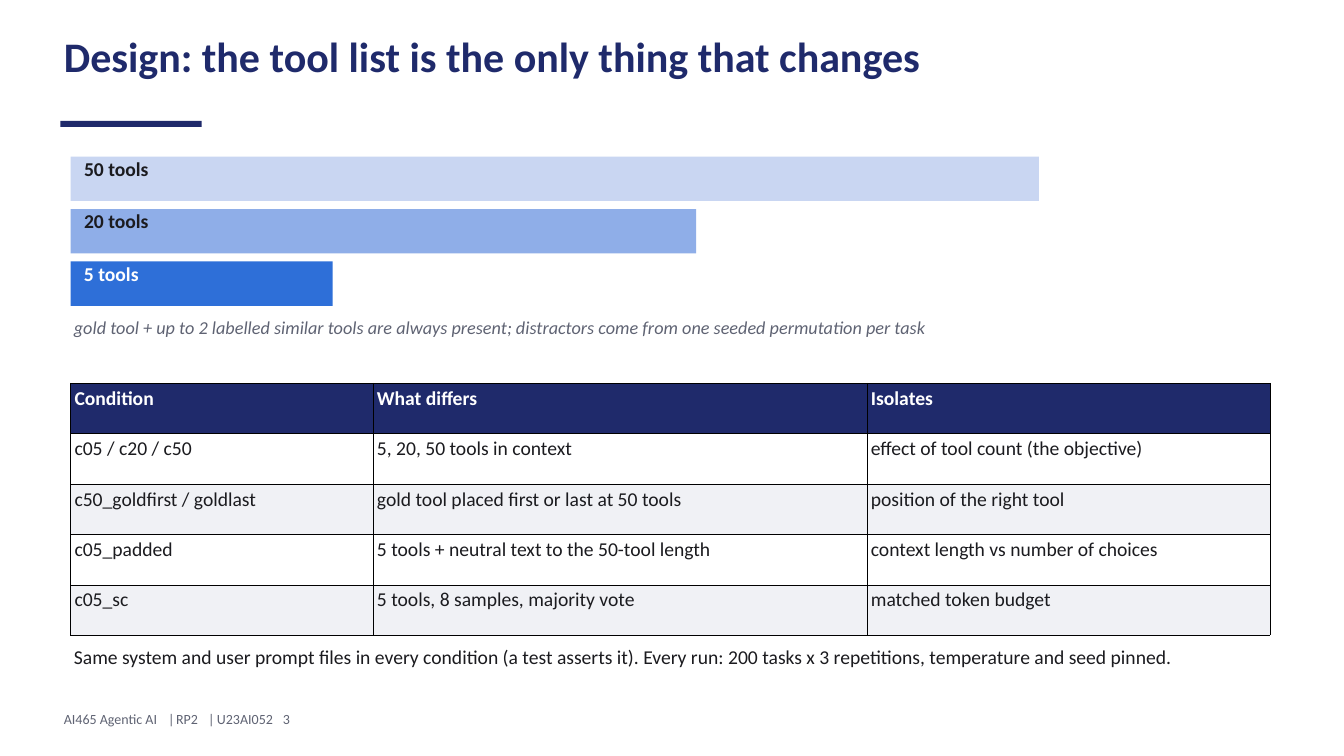
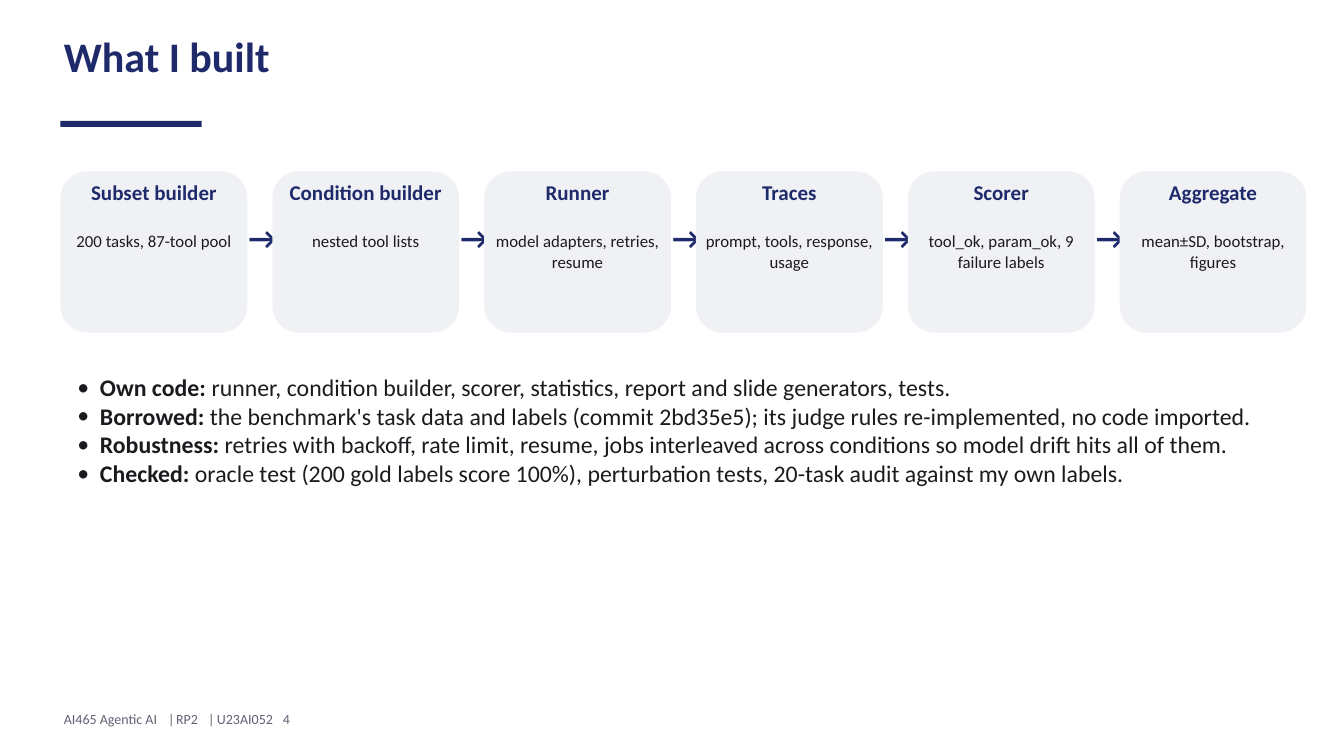
import pptx
import pptx.util
import pptx.dml.color
import pptx.enum.shapes
import pptx.enum.text
import pptx.oxml.ns
from lxml import etree

Pt = pptx.util.Pt
SHAPE = pptx.enum.shapes.MSO_SHAPE
ALIGN = pptx.enum.text.PP_ALIGN
qn = pptx.oxml.ns.qn

NAVY, INK, GREY, PALE, WHITE = "1F2A6B", "1B1B1F", "5F6373", "F0F1F5", "FFFFFF"
FOOTER = ["AI465 Agentic AI", "|", "RP2", "|", "U23AI052"]
FOOTER_TABS = [111.6, 120.2, 154.5, 164, 234.8]

BARS = [("50 tools", 1037.5, "C9D6F2", INK),
        ("20 tools", 670.3, "8FAEE8", INK),
        ("5 tools", 280.8, "2E6FD8", WHITE)]
CONDITIONS = [
    ("Condition", "What differs", "Isolates"),
    ("c05 / c20 / c50", "5, 20, 50 tools in context", "effect of tool count (the objective)"),
    ("c50_goldfirst / goldlast", "gold tool placed first or last at 50 tools", "position of the right tool"),
    ("c05_padded", "5 tools + neutral text to the 50-tool length", "context length vs number of choices"),
    ("c05_sc", "5 tools, 8 samples, majority vote", "matched token budget"),
]
STAGES = [("Subset builder", "200 tasks, 87-tool pool"),
          ("Condition builder", "nested tool lists"),
          ("Runner", "model adapters, retries, resume"),
          ("Traces", "prompt, tools, response, usage"),
          ("Scorer", "tool_ok, param_ok, 9 failure labels"),
          ("Aggregate", "mean±SD, bootstrap, figures")]
NOTES = [
    ("Own code:", "runner, condition builder, scorer, statistics, report and slide generators, tests."),
    ("Borrowed:", "the benchmark's task data and labels (commit 2bd35e5); its judge rules re-implemented, no code imported."),
    ("Robustness:", "retries with backoff, rate limit, resume, jobs interleaved across conditions so model drift hits all of them."),
    ("Checked:", "oracle test (200 gold labels score 100%), perturbation tests, 20-task audit against my own labels."),
]


def rgb(value):
    return pptx.dml.color.RGBColor.from_string(value)


def style_run(r, size, color, bold=False, italic=False):
    r.font.name = "Calibri"
    r.font.size = Pt(size)
    r.font.color.rgb = rgb(color)
    r.font.bold = bold
    r.font.italic = italic


def style_paragraph(p, size, color, bold=False, italic=False, align=ALIGN.LEFT, leading=1.2):
    p.alignment = align
    p.line_spacing = Pt(round(size * leading, 2))
    for r in p.runs:
        style_run(r, size, color, bold, italic)


def prepare_frame(tf, left=0):
    tf.word_wrap = True
    tf.auto_size = pptx.enum.text.MSO_AUTO_SIZE.NONE
    tf.vertical_anchor = pptx.enum.text.MSO_ANCHOR.TOP
    tf.margin_left = Pt(left)
    tf.margin_top = tf.margin_right = tf.margin_bottom = 0


def add_text(slide, box, text, size, color, **kw):
    tf = slide.shapes.add_textbox(*map(Pt, box)).text_frame
    prepare_frame(tf)
    tf.text = text
    style_paragraph(tf.paragraphs[0], size, color, **kw)
    return tf


def add_block(slide, box, color, kind=SHAPE.RECTANGLE):
    sp = slide.shapes.add_shape(kind, *map(Pt, box))
    sp.shadow.inherit = False
    sp.fill.solid()
    sp.fill.fore_color.rgb = rgb(color)
    sp.line.fill.background()
    return sp


def add_footer(slide, number):
    tf = add_text(slide, (68.4, 761, 1300, 31), "\t".join(FOOTER + [str(number)]), 15, GREY)
    tabs = etree.SubElement(tf.paragraphs[0]._p.get_or_add_pPr(), qn("a:tabLst"))
    for pos in FOOTER_TABS:
        etree.SubElement(tabs, qn("a:tab"), pos=str(int(Pt(pos))), algn="l")


def add_titled_slide(prs, title, number):
    slide = prs.slides.add_slide(prs.slide_layouts[5])
    sp = slide.shapes.title
    sp.left, sp.top, sp.width, sp.height = map(Pt, (68.4, 32.4, 1300, 101))
    prepare_frame(sp.text_frame)
    sp.text_frame.text = title
    style_paragraph(sp.text_frame.paragraphs[0], 45, NAVY, bold=True)
    add_block(slide, (64.8, 129.6, 151.2, 6.5), NAVY)
    add_footer(slide, number)
    return slide


def add_tool_bars(slide, x, y, height=47.5, pitch=56.2):
    for i, (label, width, fill, color) in enumerate(BARS):
        tf = add_block(slide, (x, y + i * pitch, width, height), fill).text_frame
        prepare_frame(tf, left=14.4)
        tf.text = label
        style_paragraph(tf.paragraphs[0], 21, color, bold=True)


def add_border(cell):
    for side in ("a:lnL", "a:lnR", "a:lnT", "a:lnB"):
        ln = etree.SubElement(cell._tc.get_or_add_tcPr(), qn(side), w=str(int(Pt(0.37))))
        fill = etree.SubElement(ln, qn("a:solidFill"))
        etree.SubElement(fill, qn("a:srgbClr"), val="000000")


def add_condition_table(slide, x, y, widths, row_height):
    rows = len(CONDITIONS)
    table = slide.shapes.add_table(rows, len(widths), Pt(x), Pt(y), Pt(sum(widths)),
                                   Pt(rows * row_height)).table
    for column, width in zip(table.columns, widths):
        column.width = Pt(width)
    for i, texts in enumerate(CONDITIONS):
        table.rows[i].height = Pt(row_height)
        head = i == 0
        for j, text in enumerate(texts):
            cell = table.cell(i, j)
            cell.margin_left = cell.margin_right = cell.margin_top = cell.margin_bottom = Pt(4.3)
            cell.text = text
            style_paragraph(cell.text_frame.paragraphs[0], 21, WHITE if head else INK, bold=head)
            add_border(cell)
            cell.fill.solid()
            cell.fill.fore_color.rgb = rgb(NAVY if head else WHITE if i % 2 else PALE)


def add_stage(slide, x, y, width, height, name, detail):
    add_block(slide, (x, y, width, height), PALE, SHAPE.ROUNDED_RECTANGLE)
    inner = width - 18
    add_text(slide, (x + 9, y + 8.6, inner, 54), name, 22.5, NAVY, bold=True, align=ALIGN.CENTER)
    add_text(slide, (x + 9, y + 64, inner, 96), detail, 18, INK, align=ALIGN.CENTER)


def add_pipeline(slide, x, y, width, height):
    gap = 26.8
    stage_width = (width - gap * (len(STAGES) - 1)) / len(STAGES)
    for i, (name, detail) in enumerate(STAGES):
        left = x + i * (stage_width + gap)
        if i:
            add_text(slide, (left - 25.3, y + 51.1, 25.3, 54.7), "→", 33, NAVY, bold=True)
        add_stage(slide, left, y, stage_width, height, name, detail)


def add_notes_list(slide, x, y, width, height):
    tf = slide.shapes.add_textbox(Pt(x), Pt(y), Pt(width), Pt(height)).text_frame
    prepare_frame(tf)
    for i, (lead, rest) in enumerate(NOTES):
        p = tf.add_paragraph() if i else tf.paragraphs[0]
        p.text = lead
        p.add_run().text = " " + rest
        pPr = p._p.get_or_add_pPr()
        pPr.set("marL", str(int(Pt(24.3))))
        pPr.set("indent", str(-int(Pt(24.3))))
        etree.SubElement(pPr, qn("a:buFont"), typeface="Calibri")
        etree.SubElement(pPr, qn("a:buChar"), char="•")
        style_paragraph(p, 25.5, INK)
        p.runs[0].font.bold = True


def build_design(prs):
    slide = add_titled_slide(prs, "Design: the tool list is the only thing that changes", 3)
    add_tool_bars(slide, 75.6, 167.8)
    add_text(slide, (79.2, 339, 1279, 42.5),
             "gold tool + up to 2 labelled similar tools are always present; "
             "distractors come from one seeded permutation per task", 19.5, GREY, italic=True)
    add_condition_table(slide, 75.6, 410.4, (324, 529.2, 432), 54)
    add_text(slide, (79.2, 690.5, 1279, 53),
             "Same system and user prompt files in every condition (a test asserts it). "
             "Every run: 200 tasks x 3 repetitions, temperature and seed pinned.", 21, INK)


def build_system(prs):
    slide = add_titled_slide(prs, "What I built", 4)
    add_pipeline(slide, 64.8, 183.6, 1335, 172.8)
    add_notes_list(slide, 82.8, 399.6, 1282, 124)


def main():
    prs = pptx.Presentation()
    prs.slide_width, prs.slide_height = Pt(1440), Pt(810)
    build_design(prs)
    build_system(prs)
    prs.save("out.pptx")


if __name__ == "__main__":
    main()
